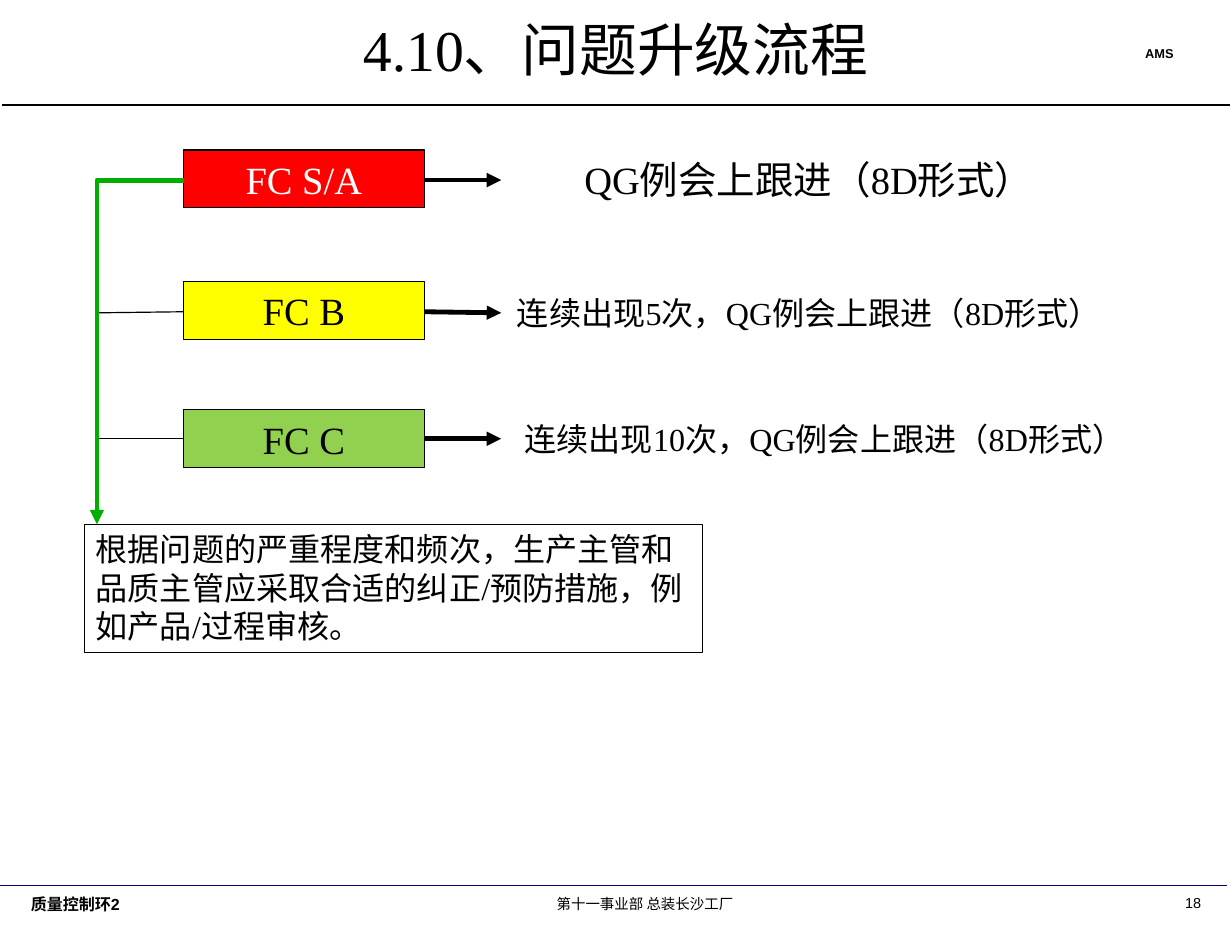
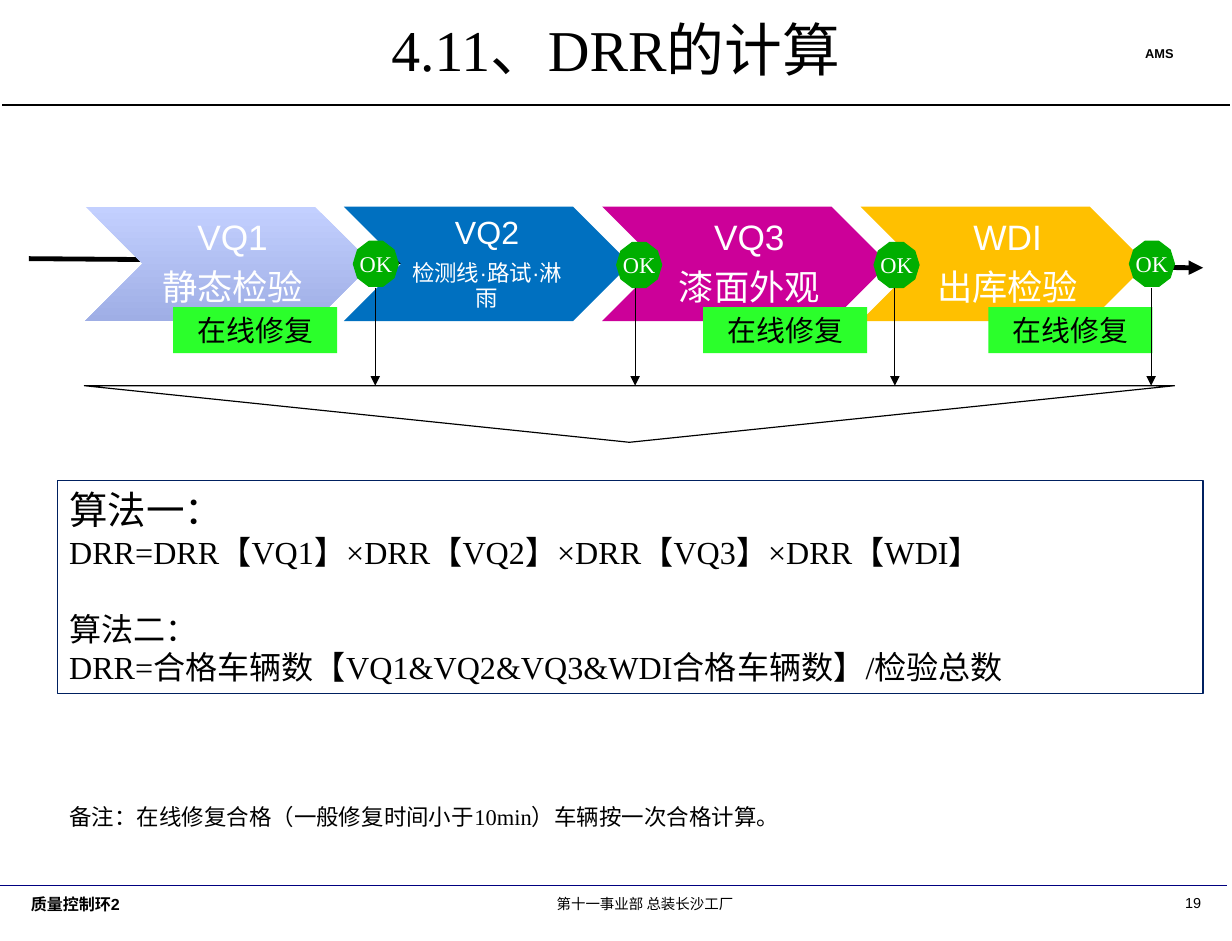
from pptx import Presentation
from pptx import util as u
from pptx.dml.color import RGBColor
from pptx.enum import shapes, text
from pptx.oxml.ns import qn
from pptx.oxml.xmlchemy import OxmlElement

Pt = u.Pt
SHAPE = shapes.MSO_SHAPE
CONNECTOR = shapes.MSO_CONNECTOR
ALIGN = text.PP_ALIGN
ANCHOR = text.MSO_ANCHOR

BLACK = RGBColor(0x00, 0x00, 0x00)
WHITE = RGBColor(0xFF, 0xFF, 0xFF)
NAVY = RGBColor(0x00, 0x00, 0x80)
DARK_BLUE = RGBColor(0x00, 0x20, 0x60)
RED = RGBColor(0xFF, 0x00, 0x00)
YELLOW = RGBColor(0xFF, 0xFF, 0x00)
LIGHT_GREEN = RGBColor(0x92, 0xD0, 0x50)
GREEN = RGBColor(0x00, 0xAE, 0x00)
BRIGHT_GREEN = RGBColor(0x2B, 0xFF, 0x2B)
PALE_BLUE = RGBColor(0xC3, 0xD0, 0xFF)
SOFT_BLUE = RGBColor(0x9F, 0xAE, 0xE5)
BLUE = RGBColor(0x00, 0x70, 0xC0)
MAGENTA = RGBColor(0xCC, 0x00, 0x99)
AMBER = RGBColor(0xFF, 0xC0, 0x00)

SERIF = "Times New Roman"
SANS = "Arial"
DEFAULT_INSETS = (7.2, 3.6, 7.2, 3.6)
TITLE_ONLY = 5


class Deck:
    """Holds the shared style and the current slide; lengths are in points."""

    def __init__(self, width, height):
        self.presentation = Presentation()
        self.presentation.slide_width = Pt(width)
        self.presentation.slide_height = Pt(height)
        self.slide = None

    def new_slide(self, title, number):
        layout = self.presentation.slide_layouts[TITLE_ONLY]
        self.slide = self.presentation.slides.add_slide(layout)
        # Title
        shape = self.slide.shapes.title
        shape.left, shape.top, shape.width, shape.height = map(
            Pt, (52.6, 5, 662.4, 59.8))
        self.set_text(shape, [title], 36)
        # Header and footer
        self.line((1.4, 65.5), (766.8, 65.5))
        self.label((707, 25.2, 48.2, 16.6), "AMS", 8, font=SANS, bold=True)
        self.line((0, 552.2), (765.4, 552.2), NAVY, 1)
        self.label((12.2, 554.4, 126, 33), "质量控制环2", 10, font=SANS, bold=True)
        self.label((288, 554.4, 228.2, 31.7), "第十一事业部 总装长沙工厂", 9,
                   font=SANS, align=ALIGN.CENTER)
        self.label((727.9, 553.7, 28.1, 18), number, 9,
                   font=SANS, align=ALIGN.RIGHT)

    def set_text(self, shape, lines, size, color=BLACK, font=SERIF, bold=False,
                 align=ALIGN.CENTER, anchor=ANCHOR.TOP, insets=DEFAULT_INSETS):
        """Set one paragraph per line and return the paragraphs."""
        frame = shape.text_frame
        frame.word_wrap = True
        frame.auto_size = text.MSO_AUTO_SIZE.NONE
        frame.vertical_anchor = anchor
        (frame.margin_left, frame.margin_top,
         frame.margin_right, frame.margin_bottom) = map(Pt, insets)
        frame.text = "\n".join(lines)
        for paragraph in frame.paragraphs:
            paragraph.alignment = align
            paragraph.font.name = font
            paragraph.font.size = Pt(size)
            paragraph.font.bold = bold
            paragraph.font.color.rgb = color
        return frame.paragraphs

    def label(self, place, words, size, align=ALIGN.LEFT, **style):
        shape = self.slide.shapes.add_textbox(*map(Pt, place))
        self.set_text(shape, [words], size, align=align, **style)

    def box(self, place, kind=SHAPE.RECTANGLE, fill=None, outline=None):
        shape = self.slide.shapes.add_shape(kind, *map(Pt, place))
        shape.shadow.inherit = False
        if fill is None:
            shape.fill.background()
        else:
            shape.fill.solid()
            shape.fill.fore_color.rgb = fill
        if outline is None:
            shape.line.fill.background()
        else:
            shape.line.color.rgb = outline
            shape.line.width = Pt(0.75)
        return shape

    def line(self, start, end, color=BLACK, width=0.75, arrow=False,
             kind=CONNECTOR.STRAIGHT):
        connector = self.slide.shapes.add_connector(
            kind, *map(Pt, (*start, *end)))
        connector.line.color.rgb = color
        connector.line.width = Pt(width)
        properties = connector.element.spPr
        if arrow:
            head = OxmlElement("a:tailEnd")
            head.set("type", "triangle")
            properties.find(qn("a:ln")).append(head)
        properties.append(OxmlElement("a:effectLst"))
        return connector

    def corner_arrow(self, start, end, color, width):
        """Arrow with a single bend: horizontal first, then vertical."""
        connector = self.line(start, end, color, width, True, CONNECTOR.ELBOW)
        geometry = connector.element.spPr.find(qn("a:prstGeom"))
        geometry.set("prst", "bentConnector2")


def escalation_slide(deck):
    deck.new_slide("4.10、问题升级流程", "18")
    box_left, box_width, trunk, text_left = 114.5, 150, 60.5, 312.5
    # name, fill, font colour, box top, line start and end heights,
    # action, text top, text width, text size
    levels = [
        ("FC S/A", RED, WHITE, 93.6, 112.3, 112.3,
         "QG例会上跟进（8D形式）", 93.6, 383.8, 24),
        ("FC B", YELLOW, BLACK, 175.7, 194.4, 195.1,
         "连续出现5次，QG例会上跟进（8D形式）", 179.3, 383.8, 20),
        ("FC C", LIGHT_GREEN, BLACK, 255.6, 273.6, 273.6,
         "连续出现10次，QG例会上跟进（8D形式）", 257.8, 403.2, 20),
    ]
    for index, (name, fill, color, top, start, end,
                action, text_top, text_width, size) in enumerate(levels):
        shape = deck.box((box_left, top, box_width, 36), fill=fill, outline=BLACK)
        deck.set_text(shape, [name], 24, color)
        deck.label((text_left, text_top, text_width, 36), action, size,
                   align=ALIGN.CENTER)
        deck.line((box_left + box_width, start), (text_left, end),
                  width=3, arrow=True)
        if index:
            deck.line((box_left, start), (trunk, end))

    # Corrective measures
    measures = deck.box((52.6, 326.9, 385.2, 79.9), outline=BLACK)
    deck.set_text(measures, ["根据问题的严重程度和频次，生产主管和品质主管应采取合适的"
                             "纠正/预防措施，例如产品/过程审核。"], 20, align=ALIGN.LEFT)
    deck.corner_arrow((box_left, 112.3), (trunk, 326.9), GREEN, 3)


def drr_slide(deck):
    deck.new_slide("4.11、DRR的计算", "19")
    deck.line((18, 161.3), (750.2, 167), width=3, arrow=True)

    # Inspection stages
    wide, none = (7.2, 2.2, 2.2, 2.2), (0, 0, 0, 0)
    stages = [
        ("VQ1", "静态检验", PALE_BLUE, 22, 22, wide),
        ("VQ2", "检测线·路试·淋雨", BLUE, 20, 14, none),
        ("VQ3", "漆面外观", MAGENTA, 22, 22, wide),
        ("WDI", "出库检验", AMBER, 22, 22, wide),
    ]
    for index, (name, task, fill, size, task_size, insets) in enumerate(stages):
        chevron = deck.box((53.3 + 161.1 * index, 128.9, 178.6, 71.3),
                           SHAPE.CHEVRON, fill)
        if index == 0:
            chevron.fill.gradient()
            chevron.fill.gradient_angle = 270
            for stop, color in zip(chevron.fill.gradient_stops,
                                   (PALE_BLUE, SOFT_BLUE)):
                stop.color.rgb = color
        paragraphs = deck.set_text(chevron, [name, task], size, WHITE, SANS,
                                   anchor=ANCHOR.MIDDLE, insets=insets)
        paragraphs[1].font.size = Pt(task_size)
        for paragraph in paragraphs:
            paragraph.line_spacing = 0.9
            paragraph.space_after = Pt(0.35 * paragraph.font.size.pt)

    # Online repair tags
    for left in (108, 438.5, 616.3):
        tag = deck.box((left, 191.5, 102.2, 28.8), fill=BRIGHT_GREEN)
        deck.set_text(tag, ["在线修复"], 18)

    # Release gates, each with an arrow to the funnel
    funnel_top = 240.5
    funnel = deck.box((52.6, funnel_top, 679.7, 35.3),
                      SHAPE.ISOSCELES_TRIANGLE, WHITE, BLACK)
    funnel.rotation = 180
    gates = [(220.3, 150.5, 234), (384.5, 151.2, 396),
             (545, 151.2, 558), (704.2, 150.5, 717.8)]
    for left, top, arrow_x in gates:
        gate = deck.box((left, top, 28.1, 28.1), SHAPE.DECAGON, GREEN, GREEN)
        deck.set_text(gate, ["OK"], 14, WHITE, anchor=ANCHOR.MIDDLE, insets=none)
        deck.line((arrow_x, 179.3), (arrow_x, funnel_top), arrow=True)

    # Formulas and remark
    formulas = deck.box((36, 299.5, 714.2, 133.2), outline=DARK_BLUE)
    paragraphs = deck.set_text(formulas, [
        "算法一：",
        "DRR=DRR【VQ1】×DRR【VQ2】×DRR【VQ3】×DRR【WDI】",
        "算法二：",
        "DRR=合格车辆数【VQ1&VQ2&VQ3&WDI合格车辆数】/检验总数",
    ], 20, align=ALIGN.LEFT)
    paragraphs[0].font.size = Pt(24)
    paragraphs[2].space_before = Pt(24)
    deck.label((36, 497.5, 714.2, 24.5),
               "备注：在线修复合格（一般修复时间小于10min）车辆按一次合格计算。", 14)


def main():
    deck = Deck(768.2, 586.8)
    escalation_slide(deck)
    drr_slide(deck)
    deck.presentation.save("out.pptx")


if __name__ == "__main__":
    main()
